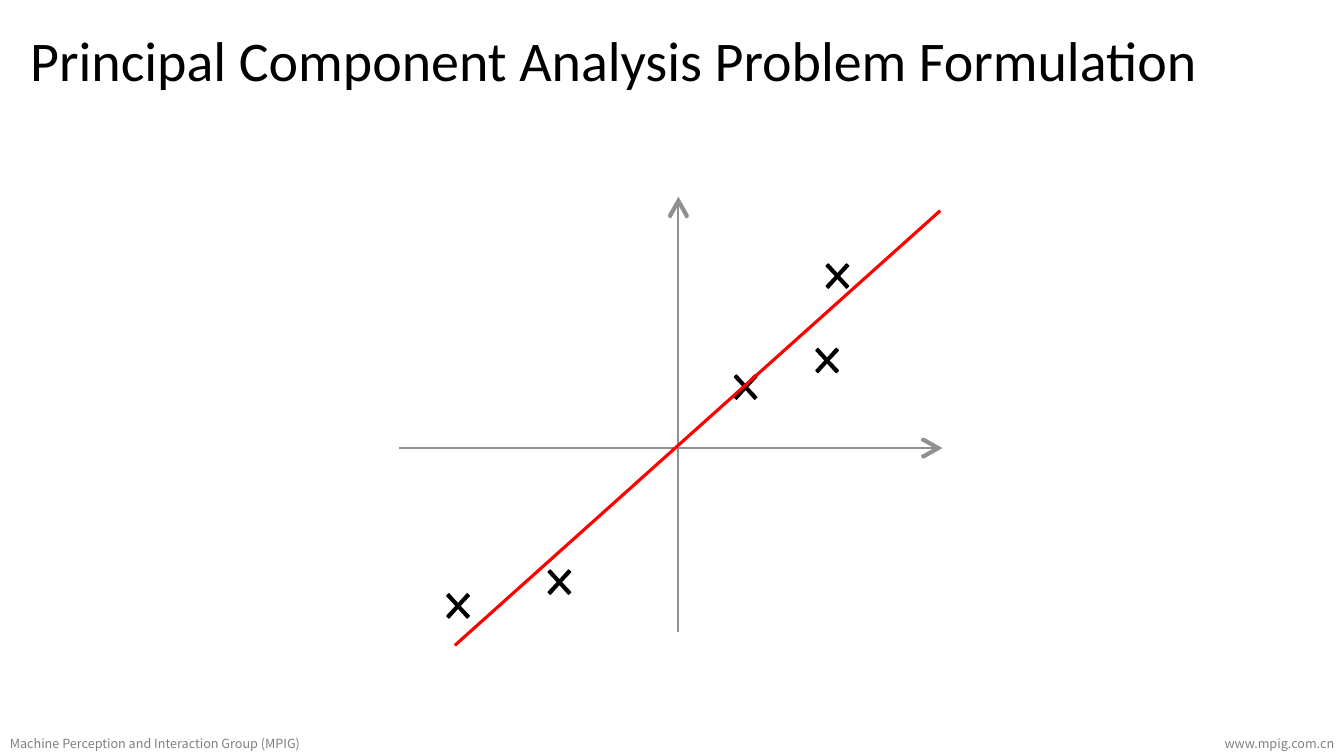
from pptx import Presentation
from pptx.dml.color import RGBColor
from pptx.enum import shapes, text
from pptx.oxml import xmlchemy
from pptx.util import Pt

BLACK = RGBColor(0, 0, 0)
GREY = RGBColor(0x80, 0x80, 0x80)
AXIS_GREY = RGBColor(0x90, 0x90, 0x90)
RED = RGBColor(0xFF, 0, 0)

TITLE = "Principal Component Analysis Problem Formulation"
FOOTERS = [  # wording, left, width, alignment
    ("Machine Perception and Interaction Group (MPIG)", 0, 410, text.PP_ALIGN.LEFT),
    ("www.mpig.com.cn", 684, 276, text.PP_ALIGN.RIGHT),
]
AXES = [  # start, arrow tip, direction
    ((484.6, 451.4), (484.6, 140.5), (0, -1)),
    ((285.1, 320.1), (673.2, 320.1), (1, 0)),
]
FITTED_LINE = ((324.9, 461), (671.6, 150.5))
SAMPLES = [(532.6, 276.5), (598.2, 197.2), (590.8, 257.5), (327.2, 432.8), (399.6, 415.8)]

# Distances along and across an axis, measured from its tip
ARROWHEAD = [(0, 0), (-13, 7.4), (-14.8, 7.2), (-15.4, 5.2),
             (-6, 0), (-15.4, -5.2), (-14.8, -7.2), (-13, -7.4)]
# Offsets from the centre of a sample mark
CROSS = [(-6.5, -8.6), (0, -1.4), (6.5, -8.6), (8, -7.2), (1.2, 0), (8, 7.2),
         (6.5, 8.6), (0, 1.4), (-6.5, 8.6), (-8, 7.2), (-1.2, 0), (-8, -7.2)]


def write(shape, words, *, font, size, color, align, anchor):
    frame = shape.text_frame
    frame.word_wrap = True
    frame.auto_size = text.MSO_AUTO_SIZE.NONE
    frame.vertical_anchor = anchor
    paragraph = frame.paragraphs[0]
    paragraph.text = words
    paragraph.alignment = align
    paragraph.font.name = font
    paragraph.font.size = Pt(size)
    paragraph.font.color.rgb = color


def draw_line(slide, start, end, color, width):
    line = slide.shapes.add_connector(
        shapes.MSO_CONNECTOR.STRAIGHT, *(Pt(v) for v in (*start, *end)))
    line.line.color.rgb = color
    line.line.width = Pt(width)
    line._element.spPr.append(xmlchemy.OxmlElement("a:effectLst"))


def draw_polygon(slide, points, color, outline=0):
    corners = [(Pt(x), Pt(y)) for x, y in points]
    builder = slide.shapes.build_freeform(*corners[0])
    builder.add_line_segments(corners[1:], close=True)
    polygon = builder.convert_to_shape()
    polygon.shadow.inherit = False
    polygon.fill.solid()
    polygon.fill.fore_color.rgb = color
    if outline:
        polygon.line.color.rgb = color
        polygon.line.width = Pt(outline)
    else:
        polygon.line.fill.background()


def main():
    deck = Presentation()
    deck.slide_width, deck.slide_height = Pt(960), Pt(540)
    slide = deck.slides.add_slide(deck.slide_layouts[5])

    title = slide.shapes.title
    title.left, title.top, title.width, title.height = Pt(14.4), Pt(14.4), Pt(896.4), Pt(55.7)
    write(title, TITLE, font="Calibri", size=40, color=BLACK,
          align=text.PP_ALIGN.LEFT, anchor=text.MSO_ANCHOR.TOP)

    for words, left, width, align in FOOTERS:
        footer = slide.shapes.add_textbox(Pt(left), Pt(522), Pt(width), Pt(18))
        write(footer, words, font="Noto Sans CJK TC", size=9, color=GREY,
              align=align, anchor=text.MSO_ANCHOR.MIDDLE)

    for start, (tip_x, tip_y), (dx, dy) in AXES:
        draw_line(slide, start, (tip_x - 3 * dx, tip_y - 3 * dy), AXIS_GREY, 1.5)
        head = [(tip_x + along * dx - across * dy, tip_y + along * dy + across * dx)
                for along, across in ARROWHEAD]
        draw_polygon(slide, head, AXIS_GREY)

    for x, y in SAMPLES:
        draw_polygon(slide, [(x + dx, y + dy) for dx, dy in CROSS], BLACK, outline=1.05)

    draw_line(slide, *FITTED_LINE, RED, 2.25)
    deck.save("out.pptx")


if __name__ == "__main__":
    main()
